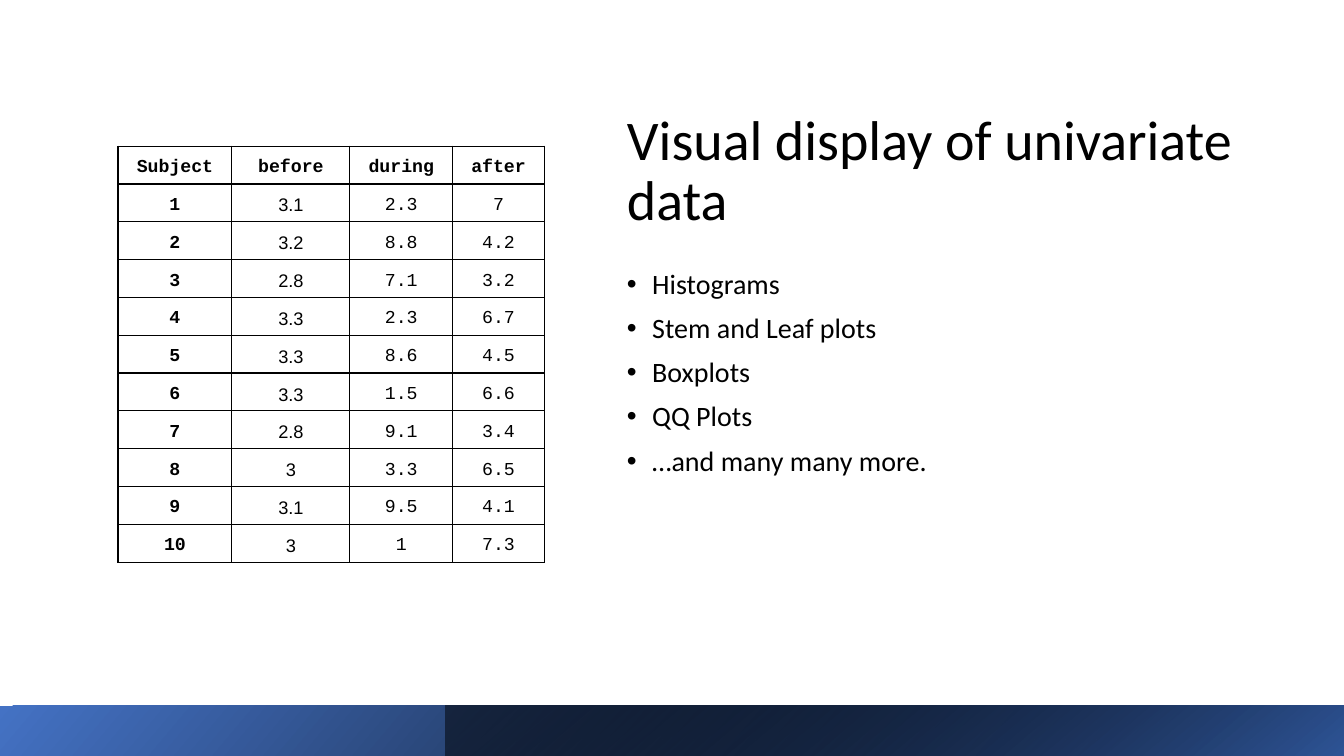
"""Build the slide on visual display of univariate data."""
from lxml.etree import SubElement
from pptx import Presentation
from pptx.dml.color import RGBColor
from pptx.enum.shapes import MSO_SHAPE
from pptx.enum.text import MSO_ANCHOR, PP_ALIGN
from pptx.oxml.ns import qn
from pptx.util import Inches, Pt

BLACK = RGBColor(0x00, 0x00, 0x00)
BLUE = RGBColor(0x44, 0x72, 0xC4)
NAVY = RGBColor(0x2F, 0x55, 0x97)

TITLE = "Visual display of univariate data"
PLOTS = ["Histograms", "Stem and Leaf plots", "Boxplots", "QQ Plots",
         "…and many many more."]
HEADS = ["Subject", "before", "during", "after"]
BEFORE = ["3.1", "3.2", "2.8", "3.3", "3.3", "3.3", "2.8", "3", "3.1", "3"]
DURING = ["2.3", "8.8", "7.1", "2.3", "8.6", "1.5", "9.1", "3.3", "9.5", "1"]
AFTER = ["7", "4.2", "3.2", "6.7", "4.5", "6.6", "3.4", "6.5", "4.1", "7.3"]
WIDTHS = [1.13, 1.17, 1.02, 0.91]
HIGH = 4.13
WIDE = 13.33
BARS = [
    (0, 40, (0, BLUE), (0.9, BLACK), None),
    (4.42, 50, (0, BLACK), (1, NAVY), 50),
]


def add_run(para, text, font, size, bold=False):
    run = para.add_run()
    run.text = text
    run.font.name = font
    run.font.size = Pt(size)
    run.font.bold = bold
    run.font.color.rgb = BLACK


def add_bar(slide, left, angle, start, end, alpha):
    bar = slide.shapes.add_shape(MSO_SHAPE.RECTANGLE, Inches(left), Inches(7),
                                 Inches(WIDE - left), Inches(0.5))
    bar.shadow.inherit = False
    bar.line.fill.background()
    bar.fill.gradient()
    bar.fill.gradient_angle = 360 - angle
    for stop, (place, color) in zip(bar.fill.gradient_stops, (start, end)):
        stop.position = place
        stop.color.rgb = color
    if alpha:
        first = next(bar._element.iter(qn("a:srgbClr")))
        SubElement(first, qn("a:alpha"), val=str(alpha * 1000))


def add_text(slide, top, height, lines, size, anchor, bullet=False):
    box = slide.shapes.add_textbox(Inches(6.12), Inches(top),
                                   Inches(6.29), Inches(height))
    frame = box.text_frame
    frame.word_wrap = True
    frame.vertical_anchor = anchor
    for num, line in enumerate(lines):
        para = frame.add_paragraph() if num else frame.paragraphs[0]
        para.line_spacing = 0.9
        if num:
            para.space_before = Pt(10)
        if bullet:
            props = para._p.get_or_add_pPr()
            props.set("marL", str(Inches(0.25)))
            props.set("indent", str(-Inches(0.25)))
            SubElement(props, qn("a:buFont"), typeface="Arial")
            SubElement(props, qn("a:buChar"), char="•")
        add_run(para, line, "Calibri", size)


def add_edges(cell):
    props = cell._tc.get_or_add_tcPr()
    for side in ("lnL", "lnR", "lnT", "lnB"):
        edge = SubElement(props, qn("a:" + side), w=str(Pt(1)))
        fill = SubElement(edge, qn("a:solidFill"))
        SubElement(fill, qn("a:srgbClr"), val=str(BLACK))


def add_grid(slide):
    ranks = [str(num) for num in range(1, len(BEFORE) + 1)]
    rows = [HEADS, *zip(ranks, BEFORE, DURING, AFTER)]
    grid = slide.shapes.add_table(len(rows), len(HEADS), Inches(1.17), Inches(1.45),
                                  Inches(sum(WIDTHS)), Inches(HIGH)).table
    for col, width in zip(grid.columns, WIDTHS):
        col.width = Inches(width)
    for r, row in enumerate(rows):
        grid.rows[r].height = Inches(HIGH / len(rows))
        for c, text in enumerate(row):
            cell = grid.cell(r, c)
            cell.margin_left = cell.margin_right = Inches(0.11)
            cell.margin_top = cell.margin_bottom = Inches(0.06)
            cell.vertical_anchor = MSO_ANCHOR.BOTTOM
            add_edges(cell)
            cell.fill.background()
            para = cell.text_frame.paragraphs[0]
            para.alignment = PP_ALIGN.CENTER
            font = "Arial" if r and c == 1 else "Courier New"
            add_run(para, text, font, 13, r == 0 or c == 0)


def main():
    deck = Presentation()
    deck.slide_width = Inches(WIDE)
    deck.slide_height = Inches(7.5)
    slide = deck.slides.add_slide(deck.slide_layouts[6])
    add_text(slide, 0.54, 1.82, [TITLE], 40, MSO_ANCHOR.BOTTOM)
    add_text(slide, 2.63, 3.5, PLOTS, 20, MSO_ANCHOR.TOP, True)
    for bar in BARS:
        add_bar(slide, *bar)
    add_grid(slide)
    deck.save("out.pptx")


if __name__ == "__main__":
    main()
